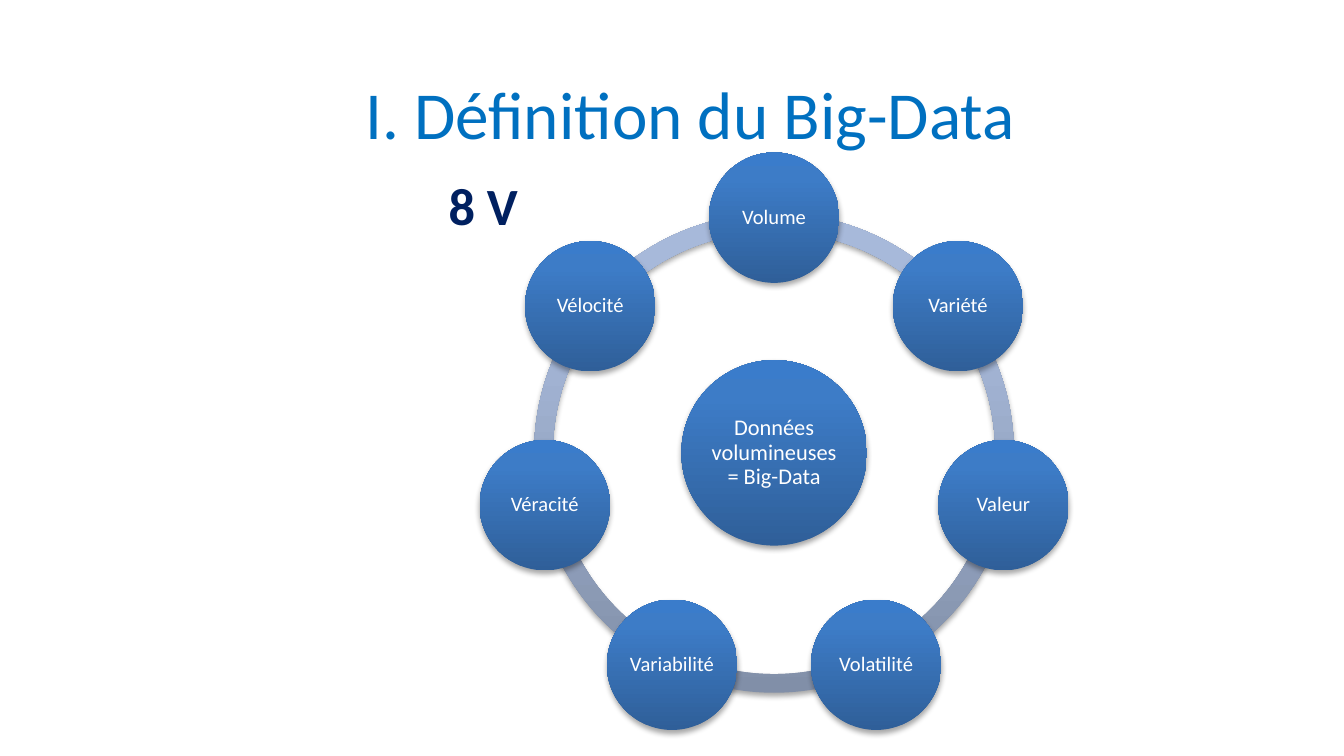
import math
from copy import deepcopy
from dataclasses import dataclass

from lxml import etree
from pptx import Presentation
from pptx import util as u
from pptx.dml.color import RGBColor
from pptx.enum import shapes, text
from pptx.oxml.ns import qn

FONT = "Calibri"
SLIDE_WIDTH = 10
SLIDE_HEIGHT = SLIDE_WIDTH * 9 / 16
CENTER_X, CENTER_Y = 5.76, 3.37
ORBIT_RADIUS = 1.75
RING_SIZE = 3.57
RING_THICKNESS = 0.039
ANGLE_SCALE = 0.6
BLUE_GRADIENT = ((0, "2F5F99"), (0.8, "3D7CC7"), (1, "3A7CCB"))
RING_GRADIENT = ((0, "818FA8"), (0.8, "A7B9DA"), (1, "A7BADC"))
CHARACTERISTICS = (
    "Volume", "Variété", "Valeur", "Volatilité",
    "Variabilité", "Véracité", "Vélocité",
)


@dataclass
class Circle:
    label: str
    x: float
    y: float
    diameter: float
    font_size: int


@dataclass
class Label:
    content: str
    left: float
    top: float
    width: float
    height: float
    font_size: int
    color: str
    bold: bool = False
    anchor: text.MSO_ANCHOR = text.MSO_ANCHOR.TOP


def rgb(value: str) -> RGBColor:
    return RGBColor.from_string(value)


def format_text(paragraph, size: int, color: str, bold: bool = False) -> None:
    for run in paragraph.runs:
        run.font.name = FONT
        run.font.size = u.Pt(size)
        run.font.bold = bold
        run.font.color.rgb = rgb(color)


def style_shape(shape, gradient: tuple) -> None:
    shape.fill.gradient()
    shape.fill.gradient_angle = 90
    properties = shape.element.spPr
    stop_list = properties.find(".//" + qn("a:gsLst"))
    stop_list.append(deepcopy(stop_list[-1]))
    for stop, (position, color) in zip(shape.fill.gradient_stops, gradient):
        stop.position = position
        stop.color.rgb = rgb(color)
    shape.line.fill.background()
    shape.shadow.inherit = False
    shadow = etree.SubElement(
        properties.find(qn("a:effectLst")), qn("a:outerShdw"),
        blurRad=str(u.Pt(3.1)), dist=str(u.Pt(1.8)), dir="5400000",
        rotWithShape="0",
    )
    color = etree.SubElement(shadow, qn("a:srgbClr"), val="000000")
    etree.SubElement(color, qn("a:alpha"), val="35000")


def add_centered_shape(slide, kind, x: float, y: float, size: float, gradient: tuple):
    shape = slide.shapes.add_shape(
        kind, u.Inches(x - size / 2), u.Inches(y - size / 2),
        u.Inches(size), u.Inches(size),
    )
    style_shape(shape, gradient)
    return shape


def add_ring_segment(slide, start: float, sweep: float) -> None:
    segment = add_centered_shape(
        slide, shapes.MSO_SHAPE.BLOCK_ARC, CENTER_X, CENTER_Y, RING_SIZE, RING_GRADIENT
    )
    segment.adjustments[0] = start % 360 * ANGLE_SCALE
    segment.adjustments[1] = (start + sweep) % 360 * ANGLE_SCALE
    segment.adjustments[2] = RING_THICKNESS


def add_circle(slide, circle: Circle) -> None:
    shape = add_centered_shape(
        slide, shapes.MSO_SHAPE.OVAL, circle.x, circle.y, circle.diameter, BLUE_GRADIENT
    )
    frame = shape.text_frame
    frame.text = circle.label
    frame.word_wrap = True
    frame.vertical_anchor = text.MSO_ANCHOR.MIDDLE
    frame.margin_left = frame.margin_right = u.Inches(0.02)
    frame.margin_top = frame.margin_bottom = u.Inches(0.02)
    paragraph = frame.paragraphs[0]
    paragraph.alignment = text.PP_ALIGN.CENTER
    paragraph.line_spacing = 0.9
    format_text(paragraph, circle.font_size, "FFFFFF")


def add_label(slide, label: Label) -> None:
    box = slide.shapes.add_textbox(
        u.Inches(label.left), u.Inches(label.top),
        u.Inches(label.width), u.Inches(label.height),
    )
    frame = box.text_frame
    frame.text = label.content
    frame.word_wrap = True
    frame.vertical_anchor = label.anchor
    format_text(frame.paragraphs[0], label.font_size, label.color, label.bold)


def main() -> None:
    presentation = Presentation()
    presentation.slide_width = u.Inches(SLIDE_WIDTH)
    presentation.slide_height = u.Inches(SLIDE_HEIGHT)
    slide = presentation.slides.add_slide(presentation.slide_layouts[6])

    add_label(slide, Label(
        "I. Définition du Big-Data", 2.62, 0.44, 6.87, 0.79, 36, "0070C0",
        anchor=text.MSO_ANCHOR.MIDDLE,
    ))

    step = 360 / len(CHARACTERISTICS)
    for index in reversed(range(len(CHARACTERISTICS))):
        add_ring_segment(slide, 270 + index * step, step)

    add_circle(slide, Circle(
        "Données volumineuses = Big-Data", CENTER_X, CENTER_Y, 1.38, 12
    ))
    for index, name in enumerate(CHARACTERISTICS):
        angle = math.radians(index * step)
        x = CENTER_X + ORBIT_RADIUS * math.sin(angle)
        y = CENTER_Y - ORBIT_RADIUS * math.cos(angle)
        add_circle(slide, Circle(name, x, y, 0.97, 11))

    add_label(slide, Label("8 V", 3.24, 1.24, 0.86, 0.57, 28, "002060", bold=True))
    presentation.save("out.pptx")


if __name__ == "__main__":
    main()
